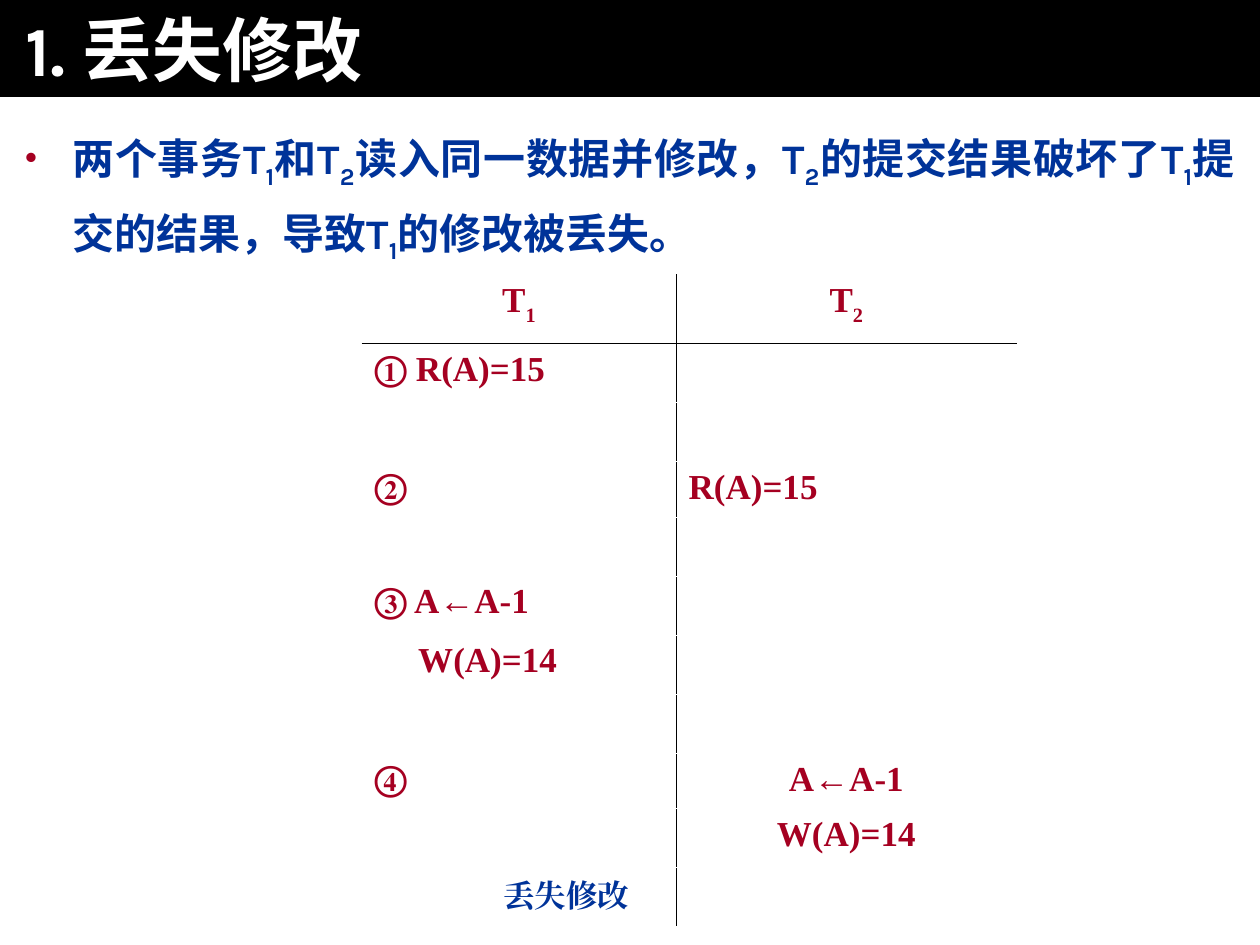
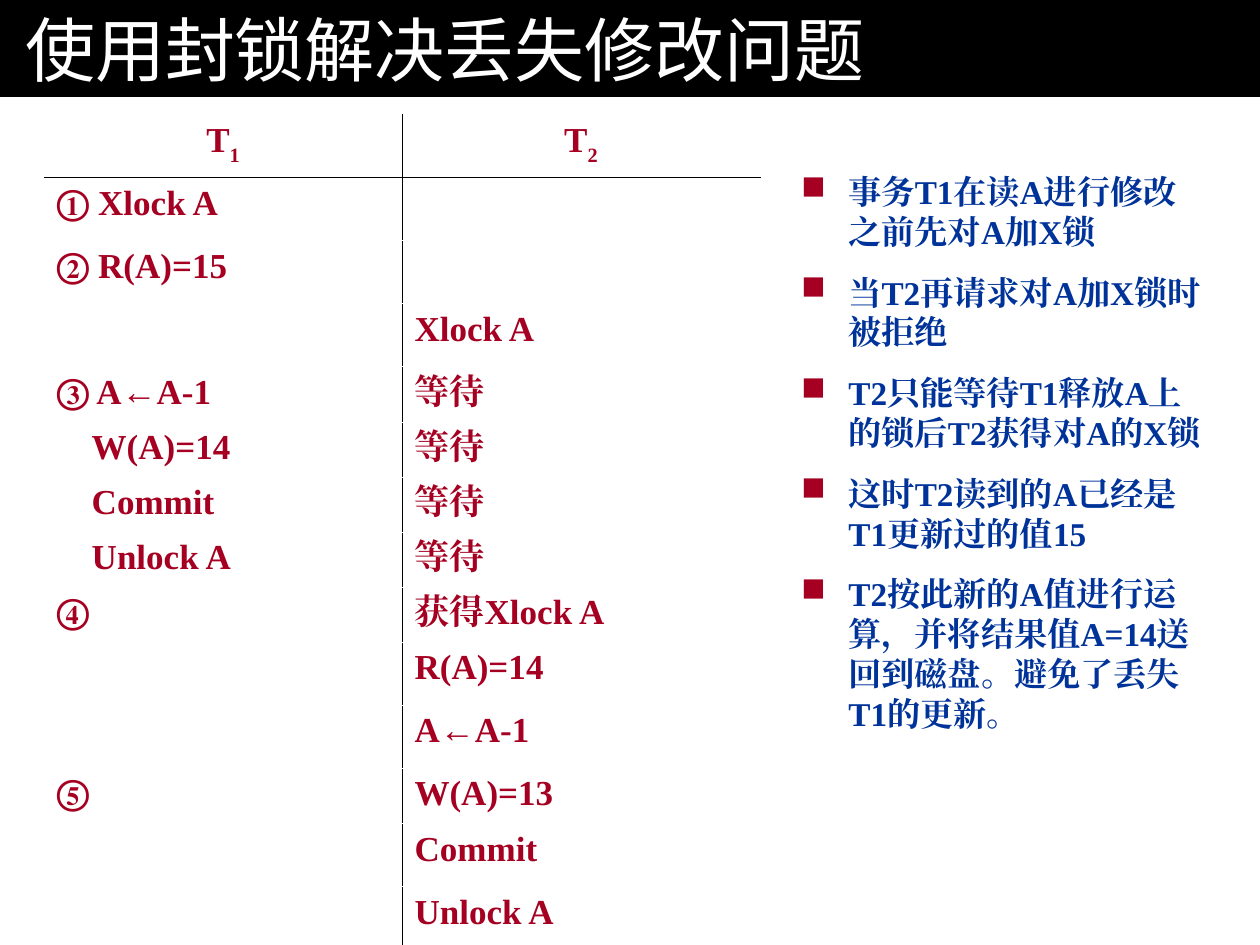
from dataclasses import dataclass

from lxml.etree import SubElement
from pptx import Presentation
from pptx.dml.color import RGBColor
from pptx.enum.shapes import MSO_SHAPE
from pptx.enum.text import MSO_ANCHOR, PP_ALIGN
from pptx.oxml.ns import qn
from pptx.util import Pt


@dataclass(frozen=True)
class Theme:
    black: str = "000000"
    white: str = "FFFFFF"
    blue: str = "003399"
    red: str = "A50021"
    head: str = "Karla"
    serif: str = "Times New Roman"
    title: int = 40
    body: int = 24
    cell: int = 20
    point: int = 19
    note: int = 18
    line: float = 0.45
    hang: float = 27
    low: float = 31.5


MARKS = "①②③④⑤"
WIDE, HIGH, BAND = 720, 540, 55.4


class Deck:
    def __init__(self, theme):
        self.theme = theme
        self.deck = Presentation()
        self.deck.slide_width, self.deck.slide_height = Pt(WIDE), Pt(HIGH)
        self.slide = None

    # Text helpers
    def put(self, item, style):
        for name, value in style.items():
            setattr(item, name, value)

    def piece(self, para, text, look, drop=0):
        face, size, color, bold = look
        run = para.add_run()
        run.text = text
        self.put(run.font, {"name": face, "size": Pt(size), "bold": bold})
        run.font.color.rgb = RGBColor.from_string(color)
        props = run._r.get_or_add_rPr()
        SubElement(props, qn("a:ea")).set("typeface", face)
        if drop:
            props.set("baseline", str(-drop * 1000))

    def label(self, para, text, look, drop=25, **style):
        """Set text in which "_" lowers the one character after it."""
        self.put(para, style)
        first, *rest = text.split("_")
        if first:
            self.piece(para, first, look)
        for part in rest:
            self.piece(para, part[0], look, drop)
            if part[1:]:
                self.piece(para, part[1:], look)

    def indent(self, para, left, first=0):
        props = para._p.get_or_add_pPr()
        props.set("marL", str(Pt(left)))
        props.set("indent", str(Pt(first)))
        return props

    def bullet(self, para, sign, size):
        props = self.indent(para, self.theme.hang, -self.theme.hang)
        color = SubElement(props, qn("a:buClr"))
        SubElement(color, qn("a:srgbClr")).set("val", self.theme.red)
        SubElement(props, qn("a:buSzPct")).set("val", str(size * 1000))
        SubElement(props, qn("a:buChar")).set("char", sign)

    # Slide and title band
    def page(self, title, bold):
        t = self.theme
        self.slide = self.deck.slides.add_slide(self.deck.slide_layouts[6])
        band = self.slide.shapes.add_shape(
            MSO_SHAPE.RECTANGLE, 0, 0, Pt(WIDE), Pt(BAND))
        band.shadow.inherit = False
        band.fill.solid()
        band.fill.fore_color.rgb = RGBColor.from_string(t.black)
        band.line.fill.background()
        frame = band.text_frame
        self.put(frame, {"margin_left": Pt(14.4), "margin_right": Pt(14.4),
                         "vertical_anchor": MSO_ANCHOR.MIDDLE,
                         "word_wrap": True})
        self.label(frame.paragraphs[0], title,
                   (t.head, t.title, t.white, bold), alignment=PP_ALIGN.LEFT)

    # Text boxes
    def box(self, left, top, wide, high, wrap=True, pad=(7.2, 3.6)):
        box = self.slide.shapes.add_textbox(
            Pt(left), Pt(top), Pt(wide), Pt(high))
        side, edge = map(Pt, pad)
        self.put(box.text_frame, {
            "word_wrap": wrap, "margin_left": side, "margin_right": side,
            "margin_top": edge, "margin_bottom": edge})
        return box.text_frame

    def lead(self, text):
        t = self.theme
        frame = self.box(0, BAND, WIDE, HIGH - BAND, pad=(14.4, 10.8))
        para = frame.paragraphs[0]
        self.bullet(para, "•", 85)
        self.label(para, text, (t.head, t.body, t.blue, True),
                   alignment=PP_ALIGN.JUSTIFY, line_spacing=1.3)

    def points(self, lines, *place):
        t = self.theme
        frame = self.box(*place)
        for i, text in enumerate(lines):
            para = frame.add_paragraph() if i else frame.paragraphs[0]
            self.bullet(para, "■", 100)
            self.label(para, text, (t.serif, t.point, t.blue, True),
                       space_before=Pt(11.9 if i else 0))

    def note(self, text, *place):
        t = self.theme
        para = self.box(*place, wrap=False).paragraphs[0]
        self.label(para, text, (t.serif, t.note, t.blue, True),
                   alignment=PP_ALIGN.CENTER)

    # Schedule table
    def edge(self, cell, colors):
        props = cell._tc.get_or_add_tcPr()
        for side, color in colors.items():
            line = SubElement(props, qn(f"a:ln{side}"))
            line.set("w", str(Pt(self.theme.line)))
            fill = SubElement(line, qn("a:solidFill"))
            SubElement(fill, qn("a:srgbClr")).set("val", color)
        cell.fill.background()

    def grid(self, rows, left, top, cols, head, tall, inset, mid=()):
        """Rows with an empty cell are tall; cells in mid are centred."""
        t = self.theme
        highs = [head] + [t.low if all(row) else tall for row in rows[1:]]
        table = self.slide.shapes.add_table(
            len(rows), len(cols), Pt(left), Pt(top),
            Pt(sum(cols)), Pt(sum(highs))).table
        self.put(table, {"first_row": False, "horz_banding": False})
        for col, wide in zip(table.columns, cols):
            col.width = Pt(wide)
        for r, row in enumerate(rows):
            table.rows[r].height = Pt(highs[r])
            for c, text in enumerate(row):
                cell = table.cell(r, c)
                sides = {"L": t.black if c else t.white}
                if not c:
                    sides["R"] = t.black
                sides["T"] = t.black if r == 1 else t.white
                sides["B"] = t.white if r else t.black
                self.edge(cell, sides)
                if not text:
                    continue
                para = cell.text_frame.paragraphs[0]
                center = r == 0 or (r, c) in mid
                if c == 0 and r and text[0] not in MARKS:
                    self.indent(para, inset)
                self.label(para, text, (t.serif, t.cell, t.red, True), 30,
                           alignment=PP_ALIGN.CENTER if center
                           else PP_ALIGN.LEFT)


HEAD = ("T_1", "T_2")
LOST = [
    HEAD,
    ("① R(A)=15", ""),
    ("", ""),
    ("②", "R(A)=15"),
    ("", ""),
    ("③ A←A-1", ""),
    ("W(A)=14", ""),
    ("", ""),
    ("④", "A←A-1"),
    ("", "W(A)=14"),
    ("", ""),
]
LOCKED = [
    HEAD,
    ("① Xlock A", ""),
    ("② R(A)=15", ""),
    ("", "Xlock A"),
    ("③ A←A-1", "等待"),
    ("W(A)=14", "等待"),
    ("Commit", "等待"),
    ("Unlock A", "等待"),
    ("④", "获得Xlock A"),
    ("", "R(A)=14"),
    ("", "A←A-1"),
    ("⑤", "W(A)=13"),
    ("", "Commit"),
    ("", "Unlock A"),
]
STEPS = [
    "事务T1在读A进行修改之前先对A加X锁",
    "当T2再请求对A加X锁时被拒绝",
    "T2只能等待T1释放A上的锁后T2获得对A的X锁",
    "这时T2读到的A已经是T1更新过的值15",
    "T2按此新的A值进行运算，并将结果值A=14送回到磁盘。避免了丢失T1的更新。",
]


def main():
    deck = Deck(Theme())

    # Lost update
    deck.page("1. 丢失修改", True)
    deck.lead("两个事务T_1和T_2读入同一数据并修改，T_2的提交结果破坏了"
              "T_1提交的结果，导致T_1的修改被丢失。")
    deck.grid(LOST, 206.8, 156.8, (179.5, 194.7), 39.5, 33.8, 25,
              mid={(8, 1), (9, 1)})
    deck.note("丢失修改", 253.4, 496.8, 140.4, 28.8)

    # Locks solve it
    deck.page("使用封锁解决丢失修改问题", False)
    deck.grid(LOCKED, 25.2, 65.6, (204.5, 204.5), 36, 36, 20)
    deck.points(STEPS, 450.7, 94.3, 244.1, 351.4)

    deck.deck.save("out.pptx")


if __name__ == "__main__":
    main()
